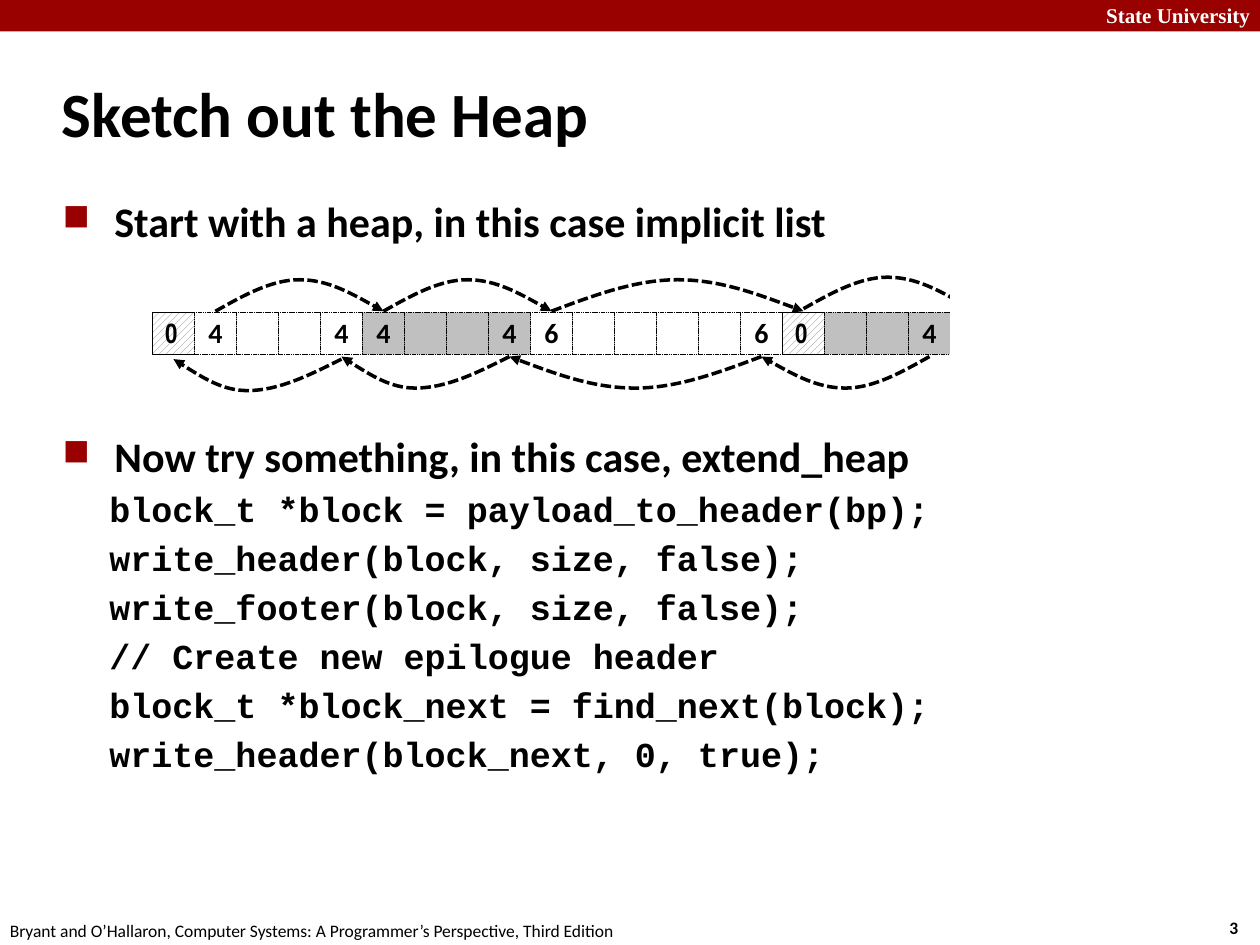
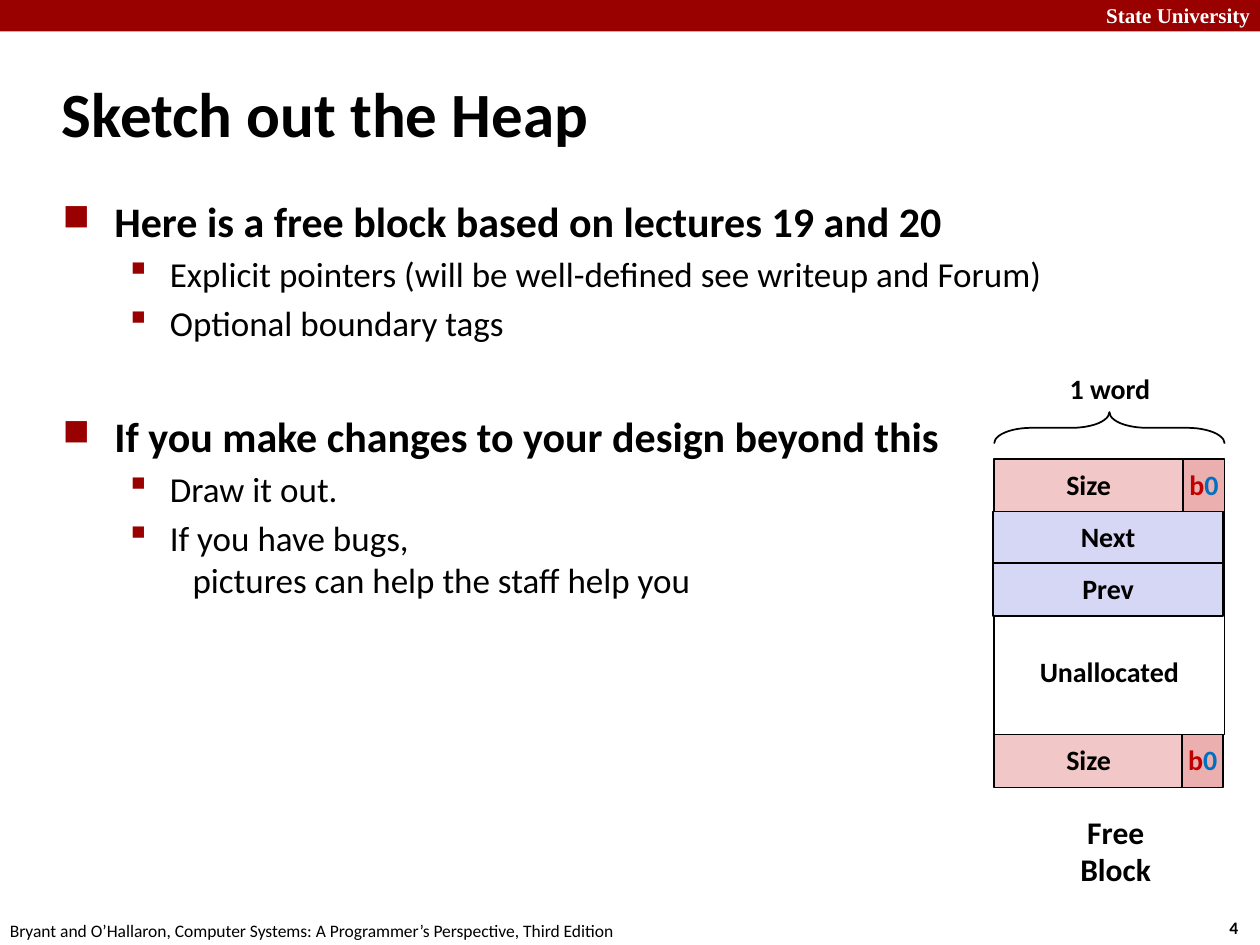
from lxml import etree
from pptx import Presentation
from pptx.dml.color import RGBColor
from pptx.enum.dml import MSO_LINE as Dash, MSO_PATTERN as Pattern
from pptx.enum.shapes import MSO_SHAPE as Shape
from pptx.enum.text import MSO_ANCHOR as Anchor, MSO_AUTO_SIZE as AutoSize, PP_ALIGN as Align
from pptx.oxml.ns import qn
from pptx.util import Inches, Pt

BLACK = RGBColor(0, 0, 0)
WHITE = RGBColor(255, 255, 255)
CRIMSON = RGBColor(0x99, 0, 0)
GRAY = RGBColor(0xC0, 0xC0, 0xC0)
HATCH = RGBColor(0x80, 0x80, 0x80)
PINK = RGBColor(0xF1, 0xC7, 0xC7)
ROSE = RGBColor(0xEB, 0xAF, 0xAF)
LAVENDER = RGBColor(0xD6, 0xD6, 0xF5)
RED = RGBColor(0xC0, 0, 0)
BLUE = RGBColor(0, 0x70, 0xC0)

SANS, SERIF, MONO, NARROW = "Calibri", "Times New Roman", "Courier New", "Arial Narrow"
FOOTER = "Bryant and O’Hallaron, Computer Systems: A Programmer’s Perspective, Third Edition"

# Body styles: size, bold, font, left margin, hanging indent,
# bullet font, bullet (a square in that symbol font), bullet size %
STYLES = {
    "point": (24, True, SANS, 0.38, 0.38, "Wingdings 2", "¢", 60),
    "detail": (20, False, SANS, 0.82, 0.32, "Wingdings", "§", 110),
    "code": (20, True, MONO, 0.34, 0, None, None, None),
}

# Heap row: (kind, word labels) for every block, one cell per word
CELL = 1 / 3
HEAP_LEFT, HEAP_TOP = 1.21, 2.48
HEAP = [
    ("edge", ["0"]),
    ("free", ["4", "", "", "4"]),
    ("used", ["4", "", "", "4"]),
    ("free", ["6", "", "", "", "", "6"]),
    ("edge", ["0"]),
    ("used", ["", "", "4"]),
]


def set_font(font, size, bold=True, color=BLACK, name=SANS):
    font.size, font.bold, font.name = Pt(size), bold, name
    font.color.rgb = color


def add_text(page, at, lines, size, align=Align.LEFT, **style):
    box = page.shapes.add_textbox(*map(Inches, at))
    frame = box.text_frame
    frame.word_wrap = True
    frame.text = "\n".join(lines)
    for para in frame.paragraphs:
        para.alignment = align
        set_font(para.font, size, **style)


def add_box(page, at, spans=(), fill=None, width=1.0, font=SANS):
    """Outlined rectangle with centred (text, colour) spans."""
    box = page.shapes.add_shape(Shape.RECTANGLE, *map(Inches, at))
    box.shadow.inherit = False
    if fill is None:
        box.fill.background()
    else:
        box.fill.solid()
        box.fill.fore_color.rgb = fill
    box.line.color.rgb = BLACK
    box.line.width = Pt(width)
    frame = box.text_frame
    frame.word_wrap = False
    frame.vertical_anchor = Anchor.MIDDLE
    para = frame.paragraphs[0]
    para.alignment = Align.CENTER
    para.line_spacing = 0.98
    for text, color in spans:
        span = para.add_run()
        span.text = text
        set_font(span.font, 16, color=color, name=font)
    return box


def add_plain(page, at, fill):
    add_box(page, at, fill=fill).line.fill.background()


def add_page(deck, title, number):
    page = deck.slides.add_slide(deck.slide_layouts[5])
    # Band and footer
    add_plain(page, (0, 0, 10, 0.25), CRIMSON)
    add_text(page, (8.64, -0.03, 1.38, 0.3), ["State University"], 12, Align.RIGHT,
             color=WHITE, name=SERIF)
    add_text(page, (9.66, 7.23, 0.37, 0.27), [str(number)], 10)
    add_text(page, (-0.02, 7.25, 5.08, 0.27), [FOOTER], 10, bold=False)
    # Title
    box = page.shapes.title
    box.left, box.top, box.width, box.height = map(Inches, (0.39, 0.48, 8.3, 0.83))
    frame = box.text_frame
    frame.text = title
    frame.auto_size = AutoSize.NONE
    frame.vertical_anchor = Anchor.MIDDLE
    frame.paragraphs[0].alignment = Align.LEFT
    set_font(frame.paragraphs[0].font, 36)
    return page


def set_bullet(para, margin, hanging, font, mark, percent):
    props = para._p.get_or_add_pPr()
    props.set("marL", str(Inches(margin)))
    props.set("indent", str(-Inches(hanging)))
    if mark is None:
        etree.SubElement(props, qn("a:buNone"))
        return
    color = etree.SubElement(props, qn("a:buClr"))
    etree.SubElement(color, qn("a:srgbClr"), val=str(CRIMSON))
    etree.SubElement(props, qn("a:buSzPct"), val=str(percent * 1000))
    etree.SubElement(props, qn("a:buFont"), typeface=font, pitchFamily="2", charset="2")
    etree.SubElement(props, qn("a:buChar"), char=mark)


def add_body(page, items):
    """Body text from (style, space before, text) items."""
    box = page.shapes.add_textbox(*map(Inches, (0.43, 1.5, 8.64, 5.44)))
    frame = box.text_frame
    frame.word_wrap = True
    for index, (style, space, text) in enumerate(items):
        para = frame.add_paragraph() if index else frame.paragraphs[0]
        para.text = text
        para.space_before = Pt(space)
        size, bold, font, *bullet = STYLES[style]
        set_bullet(para, *bullet)
        set_font(para.font, size, bold, name=font)


def add_cell(page, index, label, kind):
    at = (HEAP_LEFT + index * CELL, HEAP_TOP, CELL, CELL)
    font = NARROW if kind == "edge" else SANS
    cell = add_box(page, at, [(label, BLACK)] if label else (),
                   GRAY if kind == "used" else WHITE, 0.25, font)
    if kind == "edge":
        cell.text_frame.paragraphs[0].alignment = Align.LEFT
        cell.fill.patterned()
        cell.fill.pattern = Pattern.WIDE_UPWARD_DIAGONAL
        cell.fill.fore_color.rgb = HATCH
        cell.fill.back_color.rgb = WHITE
    else:
        cell.line.dash_style = Dash.SQUARE_DOT


def add_arc(page, start, end, base, height, peak=0.5):
    """Dashed arrow made of two cubic curves that meet at the peak."""
    middle = start + (end - start) * peak
    rises = (0, 0.5, 1, 1, 1, 0.5, 0)
    points = []
    for step, rise in enumerate(rises):
        side, t = (start, step / 3) if step <= 3 else (end, 2 - step / 3)
        points.append((Inches(side + (middle - side) * t), Inches(base + height * rise)))
    builder = page.shapes.build_freeform(*points[0])
    builder.add_line_segments(points[1:], close=False)
    arc = builder.convert_to_shape()
    # Turn each three line segments into one curve
    lines = list(arc._element.iter(qn("a:lnTo")))
    for first in range(0, len(lines), 3):
        curve = etree.SubElement(lines[first].getparent(), qn("a:cubicBezTo"))
        for line in lines[first:first + 3]:
            curve.append(line[0])
            line.getparent().remove(line)
    arc.shadow.inherit = False
    arc.fill.background()
    arc.line.color.rgb = BLACK
    arc.line.width = Pt(2)
    arc.line.dash_style = Dash.SQUARE_DOT
    etree.SubElement(arc.line._get_or_add_ln(), qn("a:tailEnd"), type="triangle")


def add_heap(page):
    index = 0
    for kind, labels in HEAP:
        for label in labels:
            add_cell(page, index, label, kind)
            index += 1

    def center(word):
        return HEAP_LEFT + (word + 0.5) * CELL

    # Header to next header, above the row
    for first, last, base in ((1, 5, 2.47), (5, 9, 2.47), (9, 15, 2.47), (15, 19, 2.45)):
        add_arc(page, center(first), center(last), base, -0.25)
    # Footer to previous footer, below the row
    for first, last, base, peak in ((4, 0, 2.85, 0.56), (8, 4, 2.83, 0.56),
                                    (14, 8, 2.83, 0.5), (18, 14, 2.83, 0.5)):
        add_arc(page, center(first), center(last), base, 0.25, peak)
    # White mask that cuts the heap off at the right
    add_plain(page, (7.54, 2.04, 0.96, 1.22), WHITE)


def add_free_block(page):
    left, width, row, tag = 7.89, 1.83, 0.42, 0.33
    body = add_box(page, (left, 4.06, width, 1.77), [("Unallocated", BLACK)])
    body.text_frame.margin_top = Inches(0.84)
    # Header and footer words
    for top, tag_left in ((3.64, 9.39), (5.83, 9.38)):
        add_box(page, (left, top, width - tag, row), [("Size", BLACK)], PINK)
        add_box(page, (tag_left, top, tag, row), [("b", RED), ("0", BLUE)], ROSE)
    # Pointers
    for top, name in ((4.06, "Next"), (4.47, "Prev")):
        add_box(page, (7.88, top, width, row), [(name, BLACK)], LAVENDER)
    # Width brace and captions
    brace = page.shapes.add_shape(Shape.RIGHT_BRACE, *map(Inches, (8.68, 2.48, 0.25, width)))
    brace.rotation = 270
    brace.adjustments[0] = 1.19
    brace.shadow.inherit = False
    brace.fill.background()
    brace.line.color.rgb = BLACK
    brace.line.width = Pt(1)
    add_text(page, (8.38, 2.9, 0.86, 0.37), ["1 word"], 16, Align.CENTER)
    add_text(page, (8.47, 6.4, 0.77, 0.71), ["Free", "Block"], 18, Align.CENTER)


def main():
    deck = Presentation()
    deck.slide_width, deck.slide_height = Inches(10), Inches(7.5)

    # Implicit list and extend_heap code
    page = add_page(deck, "Sketch out the Heap", 3)
    add_body(page, [
        ("point", 0, "Start with a heap, in this case implicit list"),
        ("point", 105.5, "Now try something, in this case, extend_heap"),
        ("code", 4, "block_t *block = payload_to_header(bp);"),
        ("code", 4, "write_header(block, size, false);"),
        ("code", 4, "write_footer(block, size, false);"),
        ("code", 4, "// Create new epilogue header"),
        ("code", 4, "block_t *block_next = find_next(block);"),
        ("code", 4, "write_header(block_next, 0, true);"),
    ])
    add_heap(page)

    # Layout of a free block
    page = add_page(deck, "Sketch out the Heap", 4)
    add_body(page, [
        ("point", 0, "Here is a free block based on lectures 19 and 20"),
        ("detail", 4, "Explicit pointers (will be well-defined see writeup and Forum)"),
        ("detail", 4, "Optional boundary tags"),
        ("point", 38, "If you make changes to your design beyond this"),
        ("detail", 4, "Draw it out."),
        ("detail", 4, "If you have bugs,\v\tpictures can help the staff help you"),
    ])
    add_free_block(page)

    deck.save("out.pptx")


if __name__ == "__main__":
    main()
